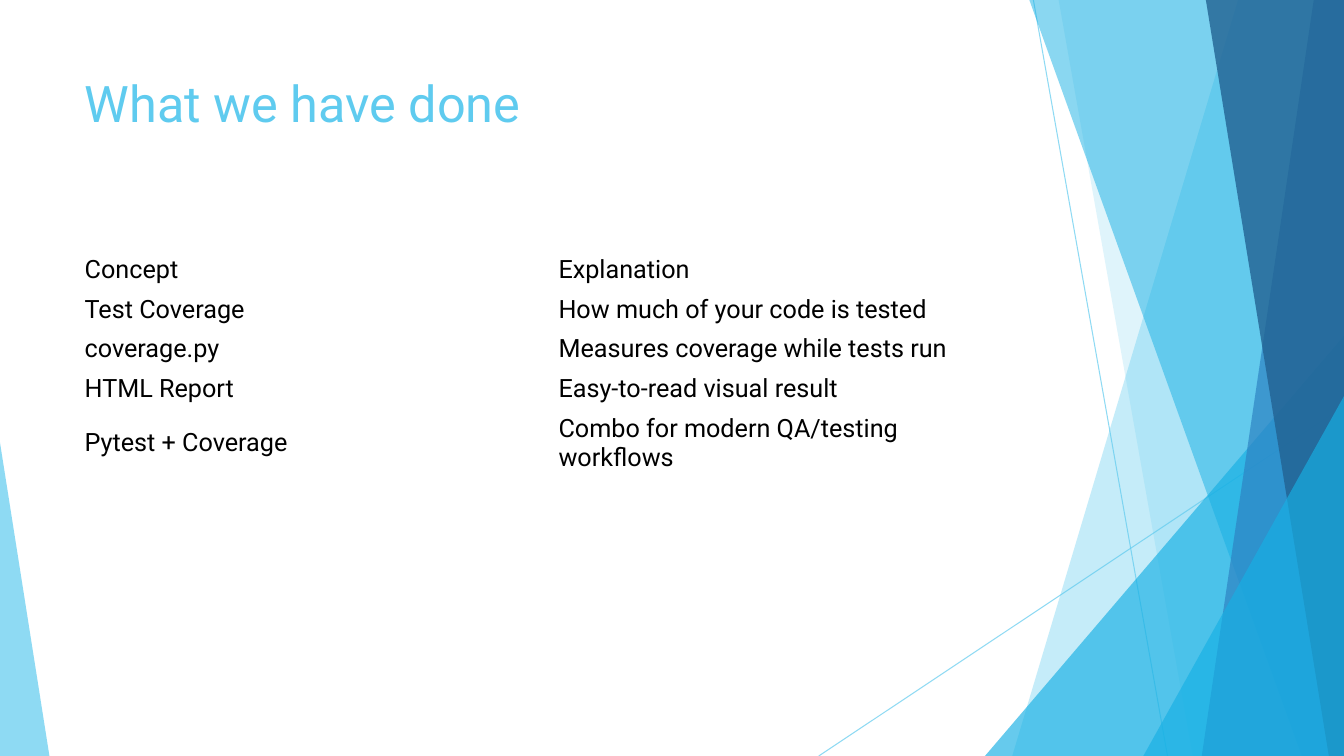
from lxml.etree import SubElement
from pptx import Presentation
from pptx.dml.color import RGBColor
from pptx.enum.shapes import MSO_CONNECTOR, MSO_SHAPE
from pptx.enum.text import MSO_ANCHOR, MSO_AUTO_SIZE, PP_ALIGN
from pptx.oxml.ns import qn
from pptx.util import Inches, Pt

COLORS = {"sky": "5FCBEF", "azure": "17B0E4", "blue": "2E83C3",
          "navy": "226292", "text": "000000"}
FONT = "Roboto"
TITLE_FRAME = {"vertical_anchor": MSO_ANCHOR.TOP, "word_wrap": True,
               "auto_size": MSO_AUTO_SIZE.NONE}
PLAIN_TABLE = {"first_row": False, "horz_banding": False}

# Content block, in percent of the slide's width and height
LEFT, WIDTH = 5.55, 70.52
ROW_HEIGHT = 5.24

CONCEPTS = [
    ("Concept", "Explanation"),
    ("Test Coverage", "How much of your code is tested"),
    ("coverage.py", "Measures coverage while tests run"),
    ("HTML Report", "Easy-to-read visual result"),
    ("Pytest + Coverage", "Combo for modern QA/testing workflows"),
]


def set_values(target, values):
    for name, value in values.items():
        setattr(target, name, value)


class SlideBuilder:
    """Places elements by percent of the slide's width and height."""

    def __init__(self, deck):
        self.deck = deck
        self.slide = deck.slides.add_slide(deck.slide_layouts[5])
        self.shapes = self.slide.shapes

    def x(self, percent):
        return round(self.deck.slide_width * percent / 100)

    def y(self, percent):
        return round(self.deck.slide_height * percent / 100)

    def box(self, left, top, width, height):
        return self.x(left), self.y(top), self.x(width), self.y(height)

    def paint(self, fill, color, opacity):
        fill.solid()
        fill.fore_color.rgb = RGBColor.from_string(COLORS[color])
        for rgb in fill._xPr.iter(qn("a:srgbClr")):
            SubElement(rgb, qn("a:alpha"), val=str(opacity * 1000))

    def finish(self, shape, color, opacity):
        self.paint(shape.fill, color, opacity)
        shape.line.fill.background()
        shape.shadow.inherit = False

    def label(self, frame, text, size, color):
        paragraph = frame.paragraphs[0]
        paragraph.alignment = PP_ALIGN.LEFT
        run = paragraph.add_run()
        run.text = text
        set_values(run.font, {"name": FONT, "size": Pt(size), "bold": False})
        run.font.color.rgb = RGBColor.from_string(COLORS[color])

    def ray(self, x1, y1, x2, y2):
        ray = self.shapes.add_connector(MSO_CONNECTOR.STRAIGHT, self.x(x1),
                                        self.y(y1), self.x(x2), self.y(y2))
        ray.line.width = Pt(0.75)
        self.paint(ray.line.fill, "sky", 70)
        SubElement(ray._element.spPr, qn("a:effectLst"))

    def facet(self, top_x, bottom_x, color, opacity):
        """Full-height facet from a slanted left side to the right edge."""
        outline = self.shapes.build_freeform(self.x(top_x), 0)
        outline.add_line_segments([(self.x(100), 0), (self.x(100), self.y(100)),
                                   (self.x(bottom_x), self.y(100))], close=True)
        self.finish(outline.convert_to_shape(), color, opacity)

    def corner(self, left, right, top, apex, color, opacity):
        """Right triangle standing on the bottom edge."""
        triangle = self.shapes.add_shape(
            MSO_SHAPE.ISOSCELES_TRIANGLE,
            *self.box(left, top, right - left, 100 - top))
        triangle.adjustments[0] = apex
        self.finish(triangle, color, opacity)

    def title(self, text, top, height):
        title = self.shapes.title
        bounds = self.box(LEFT, top, WIDTH, height)
        set_values(title, dict(zip(("left", "top", "width", "height"), bounds)))
        set_values(title.text_frame, TITLE_FRAME)
        self.label(title.text_frame, text, 36, "sky")

    def table(self, rows, top):
        height = ROW_HEIGHT * len(rows)
        table = self.shapes.add_table(len(rows), len(rows[0]),
                                      *self.box(LEFT, top, WIDTH, height)).table
        set_values(table, PLAIN_TABLE)
        for r, row in enumerate(rows):
            for c, text in enumerate(row):
                cell = table.cell(r, c)
                cell.fill.background()
                cell.vertical_anchor = MSO_ANCHOR.MIDDLE
                self.label(cell.text_frame, text, 18, "text")
        return table


def main():
    deck = Presentation()
    set_values(deck, {"slide_width": Inches(13.33), "slide_height": Inches(7.5)})
    page = SlideBuilder(deck)

    # Faceted backdrop, back to front
    page.ray(76.89, 0, 86.87, 100)
    page.ray(100, 53.73, 60.92, 100)
    page.facet(92.12, 75.32, "sky", 36)
    page.facet(78.77, 88.75, "sky", 20)
    page.corner(73.29, 100, 44.4, 1, "azure", 66)
    page.facet(76.59, 96.85, "azure", 50)
    page.facet(97.75, 89.42, "blue", 70)
    page.facet(89.72, 98.87, "navy", 80)
    page.corner(85.07, 100, 52.4, 1, "azure", 66)
    page.corner(0, 3.68, 58.53, 0, "sky", 70)

    # Title and concept table
    page.title("What we have done", 8.93, 19.2)
    concepts = page.table(CONCEPTS, 33.07)
    concepts.rows[len(CONCEPTS) - 1].height = page.y(9.15)  # two lines of text

    deck.save("out.pptx")


if __name__ == "__main__":
    main()
